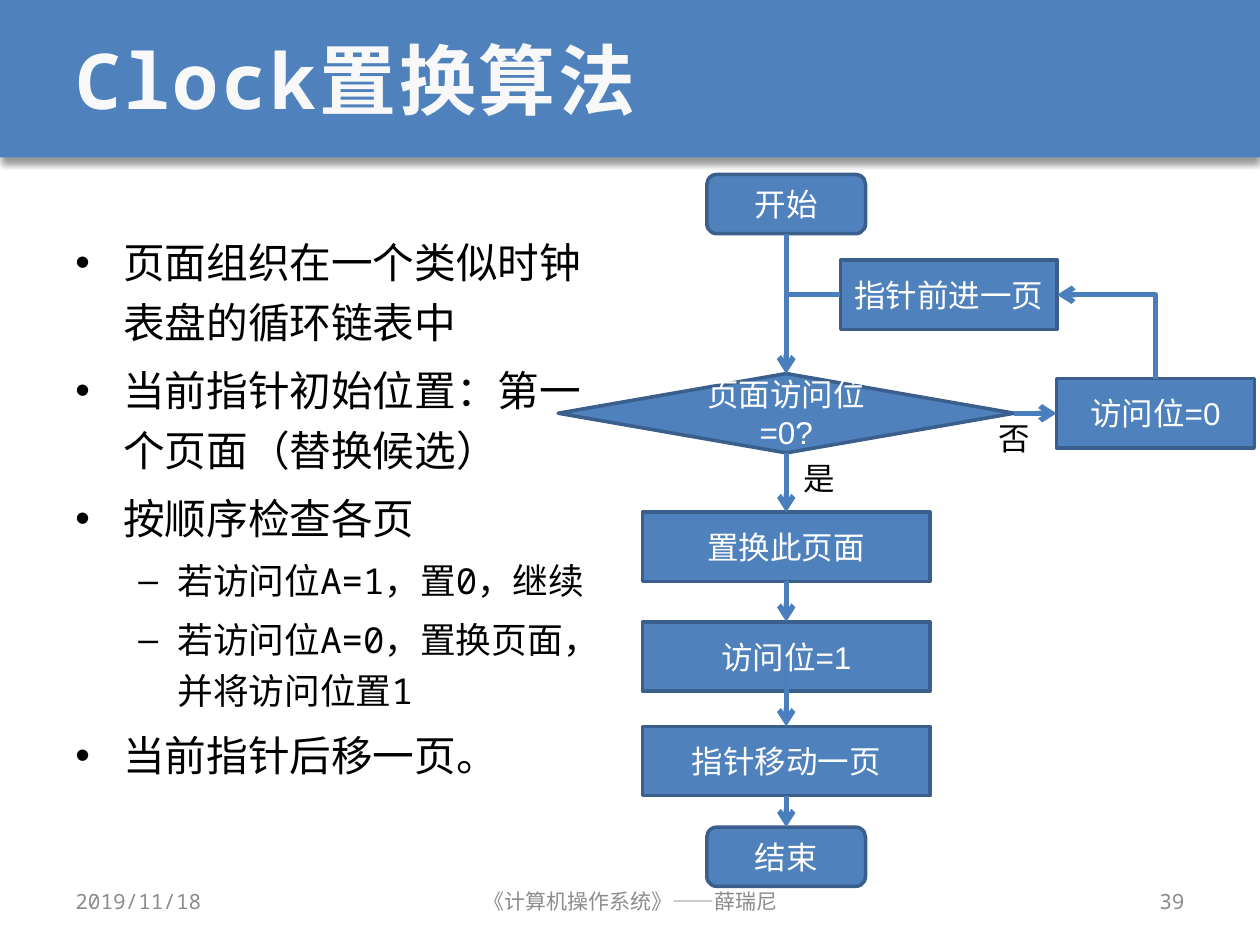
import pptx
import pptx.util
import pptx.dml.color
import pptx.enum.shapes
import pptx.enum.text
import pptx.oxml
import pptx.oxml.ns

Inches, Pt = pptx.util.Inches, pptx.util.Pt
Shape = pptx.enum.shapes.MSO_SHAPE
Link = pptx.enum.shapes.MSO_CONNECTOR
Align = pptx.enum.text.PP_ALIGN
Anchor = pptx.enum.text.MSO_ANCHOR
qn = pptx.oxml.ns.qn

WIDTH, HEIGHT = 10, 7.5
MARGIN = 0.5
BAND = HEIGHT / 6
COLORS = {"blue": "4F81BD", "edge": "3A5F8C", "link": "4B7EBC", "title": "F8F8F8",
          "white": "FFFFFF", "black": "000000", "gray": "8C8C8C"}
MONO, SANS = "Noto Sans Mono", "Arial"

TITLE = "Clock置换算法"
BULLETS = [
    (0, "页面组织在一个类似时钟表盘的循环链表中"),
    (0, "当前指针初始位置：第一个页面（替换候选）"),
    (0, "按顺序检查各页"),
    (1, "若访问位A=1，置0，继续"),
    (1, "若访问位A=0，置换页面，并将访问位置1"),
    (0, "当前指针后移一页。"),
]
# bullet sign, text size, left margin, hanging indent
LEVELS = [("•", 23.8, 0.38, 0.38), ("–", 20.4, 0.81, 0.31)]
FOOTERS = [  # text, left, width, alignment
    ("2019/11/18", MARGIN, 2.33, Align.LEFT),
    ("《计算机操作系统》——薛瑞尼", 3.42, 3.17, Align.CENTER),
    ("39", WIDTH - MARGIN - 2.33, 2.33, Align.RIGHT),
]

# Flow chart grid: centres of columns and rows
COLUMNS = {"main": 6.24, "loop": 7.53, "side": 9.17}
ROWS = {"start": 1.62, "advance": 2.34, "test": 3.28, "replace": 4.34,
        "mark": 5.21, "move": 6.04, "end": 6.8}
KINDS = {  # preset shape, width, height
    "terminal": (Shape.FLOWCHART_ALTERNATE_PROCESS, 1.26, 0.47),
    "decision": (Shape.FLOWCHART_DECISION, 3.62, 0.63),
    "step": (Shape.FLOWCHART_PROCESS, 2.28, 0.55),
    "advance": (Shape.FLOWCHART_PROCESS, 1.72, 0.55),
    "clear": (Shape.FLOWCHART_PROCESS, 1.57, 0.55),
}
NODES = {  # text, kind, column, row
    "start": ("开始", "terminal", "main", "start"),
    "end": ("结束", "terminal", "main", "end"),
    "advance": ("指针前进一页", "advance", "loop", "advance"),
    "test": ("页面访问位=0?", "decision", "main", "test"),
    "clear": ("访问位=0", "clear", "side", "test"),
    "replace": ("置换此页面", "step", "main", "replace"),
    "mark": ("访问位=1", "step", "main", "mark"),
    "move": ("指针移动一页", "step", "main", "move"),
}
TOP, LEFT, BOTTOM, RIGHT = range(4)
ARROWS = [
    ("start", BOTTOM, "test", TOP),
    ("test", BOTTOM, "replace", TOP),
    ("test", RIGHT, "clear", LEFT),
    ("replace", BOTTOM, "mark", TOP),
    ("move", BOTTOM, "end", TOP),
]
BRANCHES = [("是", 6.28, 3.59), ("否", 7.83, 3.28)]


def rgb(name):
    return pptx.dml.color.RGBColor.from_string(COLORS[name])


def add_xml(parent, tag, **attributes):
    child = parent.makeelement(qn(tag), attributes)
    parent.append(child)
    return child


def style(paragraph, size, font, color, align=Align.LEFT, bold=False):
    paragraph.alignment = align
    for run in paragraph.runs:
        run.font.size, run.font.name, run.font.bold = Pt(size), font, bold
        run.font.color.rgb = rgb(color)


def add_text(slide, text, box, anchor=Anchor.MIDDLE, wrap=True):
    frame = slide.shapes.add_textbox(*map(Inches, box)).text_frame
    frame.word_wrap, frame.vertical_anchor = wrap, anchor
    frame.text = text
    return frame


def add_band(slide):
    band = slide.shapes.add_shape(Shape.RECTANGLE, 0, 0, Inches(WIDTH), Inches(BAND))
    band.fill.solid()
    band.fill.fore_color.rgb = rgb("blue")
    band.line.fill.background()
    effects = add_xml(band._element.spPr, "a:effectLst")
    shadow = add_xml(effects, "a:outerShdw", blurRad=str(Pt(4)), dist=str(Pt(3)),
                     dir="5400000", algn="t", rotWithShape="0")
    shade = add_xml(shadow, "a:srgbClr", val=COLORS["black"])
    add_xml(shade, "a:alpha", val="40000")


def add_bullets(slide):
    text = "\n".join(line for _, line in BULLETS)
    frame = add_text(slide, text, (MARGIN, 1.75, 4.42, 4.95), Anchor.TOP)
    for paragraph, (level, _) in zip(frame.paragraphs, BULLETS):
        sign, size, margin, hanging = LEVELS[level]
        style(paragraph, size, MONO, "black")
        paragraph.level = level
        paragraph.line_spacing, paragraph.space_before = 1.2, Pt(0.2 * size)
        properties = paragraph._p.get_or_add_pPr()
        properties.set("marL", str(Inches(margin)))
        properties.set("indent", str(-Inches(hanging)))
        add_xml(properties, "a:buFont", typeface=SANS)
        add_xml(properties, "a:buChar", char=sign)


def add_node(slide, text, kind, column, row):
    preset, width, height = KINDS[kind]
    box = (COLUMNS[column] - width / 2, ROWS[row] - height / 2, width, height)
    node = slide.shapes.add_shape(preset, *map(Inches, box))
    node.shadow.inherit = False
    node.fill.solid()
    node.fill.fore_color.rgb = rgb("blue")
    node.line.color.rgb, node.line.width = rgb("edge"), Pt(2)
    node.text_frame.text = text
    node.text_frame.word_wrap = True
    node.text_frame.vertical_anchor = Anchor.MIDDLE
    style(node.text_frame.paragraphs[0], 18, SANS, "white", Align.CENTER)
    return node


def add_arrow(slide, start=(0, 0), end=(0, 0), kind=Link.STRAIGHT):
    arrow = slide.shapes.add_connector(kind, *map(Inches, (*start, *end)))
    arrow.line.color.rgb, arrow.line.width = rgb("link"), Pt(3)
    add_xml(arrow.line._get_or_add_ln(), "a:tailEnd", type="arrow")
    add_xml(arrow._element.spPr, "a:effectLst")
    return arrow


def add_bend(slide, start, end, upright=False):
    """Arrow with one corner; upright leaves the start vertically."""
    bend = add_arrow(slide, start, end, Link.ELBOW)
    bend._element.spPr.find(qn("a:prstGeom")).set("prst", "bentConnector2")
    if upright:
        # A quarter turn swaps the sides of the frame about its centre
        shift = (bend.width - bend.height) // 2
        bend.left, bend.top = bend.left + shift, bend.top - shift
        bend.width, bend.height = bend.height, bend.width
        frame = bend._element.spPr.find(qn("a:xfrm"))
        frame.attrib.pop("flipH", None)
        frame.set("rot", str(270 * 60000))
        frame.set("flipV", "1")


def add_flow_chart(slide):
    nodes = {key: add_node(slide, *node) for key, node in NODES.items()}
    for source, source_side, target, target_side in ARROWS:
        arrow = add_arrow(slide)
        arrow.begin_connect(nodes[source], source_side)
        arrow.end_connect(nodes[target], target_side)
    into_move = add_arrow(slide, (COLUMNS["main"], 5.32), (COLUMNS["main"], 5.76))
    into_move.end_connect(nodes["move"], TOP)

    half = KINDS["advance"][1] / 2
    test_top = ROWS["test"] - KINDS["decision"][2] / 2
    clear_top = ROWS["test"] - KINDS["clear"][2] / 2
    add_bend(slide, (COLUMNS["loop"] - half, ROWS["advance"]), (COLUMNS["main"], test_top))
    add_bend(slide, (COLUMNS["side"], clear_top),
             (COLUMNS["loop"] + half, ROWS["advance"]), upright=True)
    for text, left, top in BRANCHES:
        label = add_text(slide, text, (left, top, 0.45, 0.4), Anchor.TOP, wrap=False)
        style(label.paragraphs[0], 18, SANS, "black")


def main():
    deck = pptx.Presentation()
    deck.slide_width, deck.slide_height = Inches(WIDTH), Inches(HEIGHT)
    slide = deck.slides.add_slide(deck.slide_layouts[6])
    add_band(slide)
    title = add_text(slide, TITLE, (MARGIN, 0, WIDTH - 2 * MARGIN, BAND)).paragraphs[0]
    style(title, 44, MONO, "title", bold=True)
    title.runs[0]._r.get_or_add_rPr().set("spc", "150")
    add_bullets(slide)
    add_flow_chart(slide)
    for text, left, width, align in FOOTERS:
        footer = add_text(slide, text, (left, 6.95, width, 0.4))
        style(footer.paragraphs[0], 12, MONO, "gray", align)
    deck.save("out.pptx")


if __name__ == "__main__":
    main()
